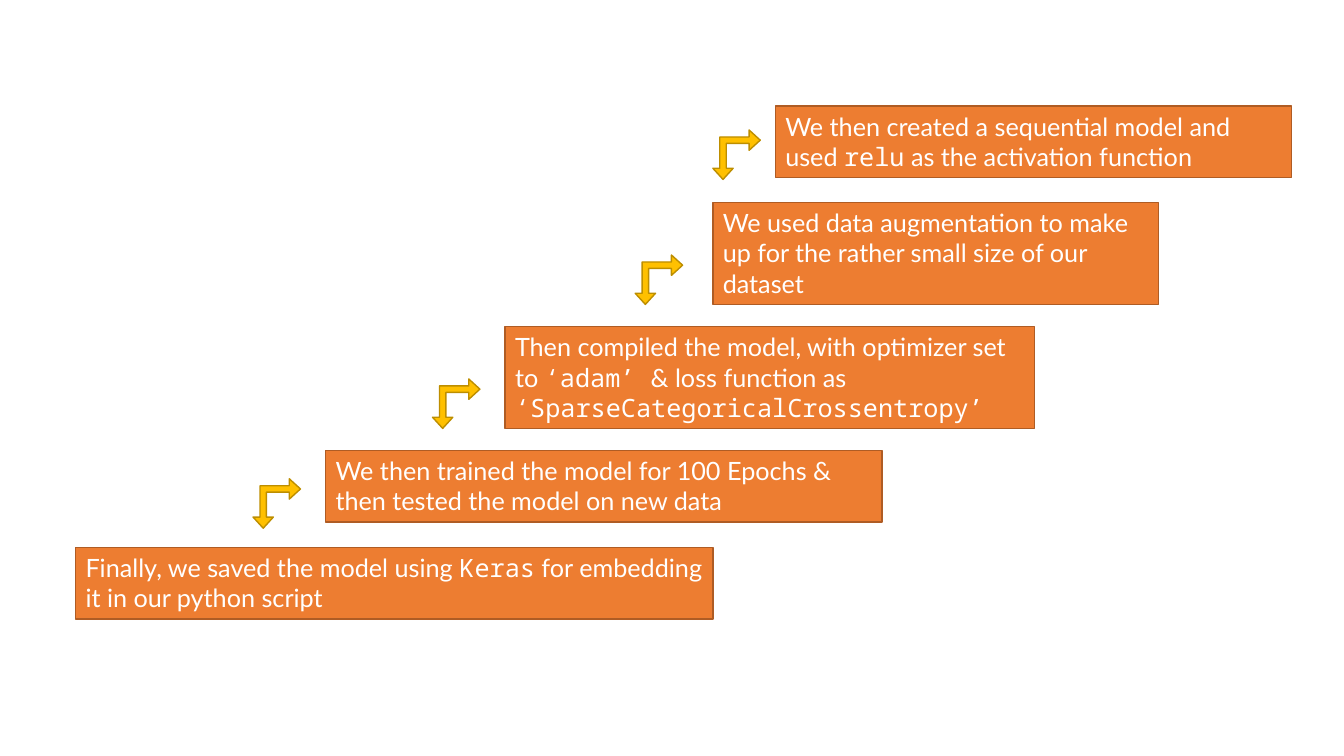
import dataclasses
import typing

import pptx
import pptx.dml.color
import pptx.enum.shapes
import pptx.enum.text
import pptx.util

Inches = pptx.util.Inches
RGB = pptx.dml.color.RGBColor
SHAPE = pptx.enum.shapes.MSO_SHAPE


@dataclasses.dataclass(frozen=True)
class Theme:
    box_fill: str = "ED7D31"
    box_line: str = "AF5C24"
    arrow_fill: str = "FFC000"
    arrow_line: str = "BD8E00"
    text: str = "FFFFFF"
    body_font: str = "Lato"
    code_font: str = "Noto Sans Mono"
    text_size: float = 18
    line_width: float = 1


@dataclasses.dataclass(frozen=True)
class Step:
    left: float
    top: float
    width: float
    height: float
    pieces: tuple[str, ...]  # plain text and code take turns


class Arrow(typing.NamedTuple):
    left: float
    top: float


THEME = Theme()
ARROW_SIZE = (0.47, 0.49)
ARROW_ADJUSTMENTS = (0.135, 0.214, 0.236)

STEPS = [
    Step(7.69, 1.05, 5.12, 0.71,
         ("We then created a sequential model and used ", "relu",
          " as the activation function")),
    Step(7.07, 2.01, 4.42, 1.01,
         ("We used data augmentation to make up for the rather small size of our dataset",)),
    Step(5.01, 3.24, 5.25, 1.01,
         ("Then compiled the model, with optimizer set to ", "‘adam’ ",
          "& loss function as ", "‘SparseCategoricalCrossentropy’")),
    Step(3.23, 4.47, 5.52, 0.71,
         ("We then trained the model for 100 Epochs & then tested the model on new data",)),
    Step(0.75, 5.43, 6.32, 0.71,
         ("Finally, we saved the model using ", "Keras",
          " for embedding it in our python script")),
]
ARROWS = [Arrow(7.07, 1.29), Arrow(6.3, 2.53), Arrow(4.29, 3.76), Arrow(2.51, 4.75)]


def add_filled(slide, kind, left: float, top: float, width: float, height: float,
               fill: str, line: str):
    sp = slide.shapes.add_shape(kind, Inches(left), Inches(top), Inches(width), Inches(height))
    sp.shadow.inherit = False
    sp.fill.solid()
    sp.fill.fore_color.rgb = RGB.from_string(fill)
    sp.line.color.rgb = RGB.from_string(line)
    sp.line.width = pptx.util.Pt(THEME.line_width)
    return sp


def add_step(slide, step: Step) -> None:
    sp = add_filled(slide, SHAPE.RECTANGLE, step.left, step.top, step.width, step.height,
                    THEME.box_fill, THEME.box_line)
    tf = sp.text_frame
    tf.word_wrap = True
    tf.auto_size = pptx.enum.text.MSO_AUTO_SIZE.SHAPE_TO_FIT_TEXT
    tf.vertical_anchor = pptx.enum.text.MSO_ANCHOR.TOP
    p = tf.paragraphs[0]
    p.alignment = pptx.enum.text.PP_ALIGN.LEFT
    for i, piece in enumerate(step.pieces):
        r = p.add_run()
        r.text = piece
        r.font.name = THEME.code_font if i % 2 else THEME.body_font
        r.font.size = pptx.util.Pt(THEME.text_size)
        r.font.color.rgb = RGB.from_string(THEME.text)


def add_arrow(slide, arrow: Arrow) -> None:
    sp = add_filled(slide, SHAPE.LEFT_UP_ARROW, arrow.left, arrow.top, *ARROW_SIZE,
                    THEME.arrow_fill, THEME.arrow_line)
    sp.rotation = 180
    for i, value in enumerate(ARROW_ADJUSTMENTS):
        sp.adjustments[i] = value


def main() -> None:
    prs = pptx.Presentation()
    prs.slide_width, prs.slide_height = Inches(13.33), Inches(7.5)
    slide = prs.slides.add_slide(prs.slide_layouts[6])

    # Staircase of steps
    for step in STEPS:
        add_step(slide, step)

    # Arrows between neighbouring steps
    for arrow in ARROWS:
        add_arrow(slide, arrow)

    prs.save("out.pptx")


if __name__ == "__main__":
    main()
